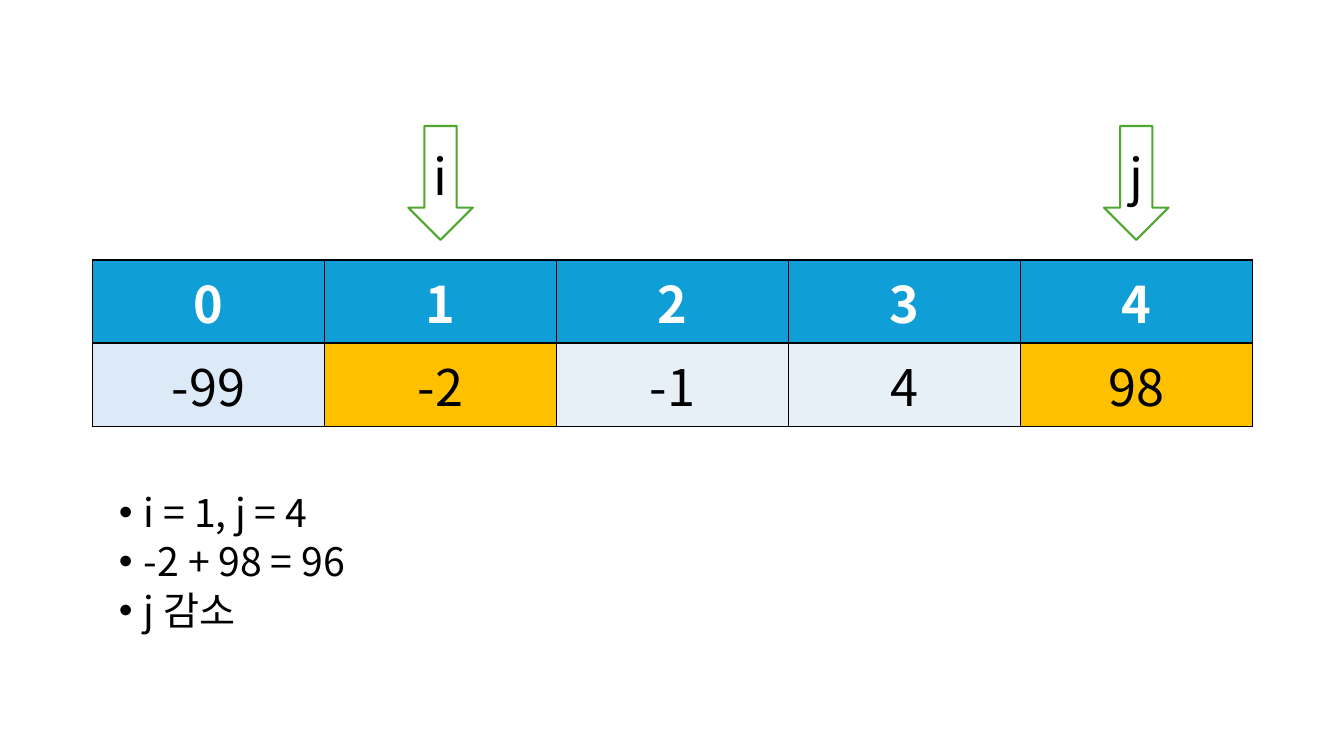
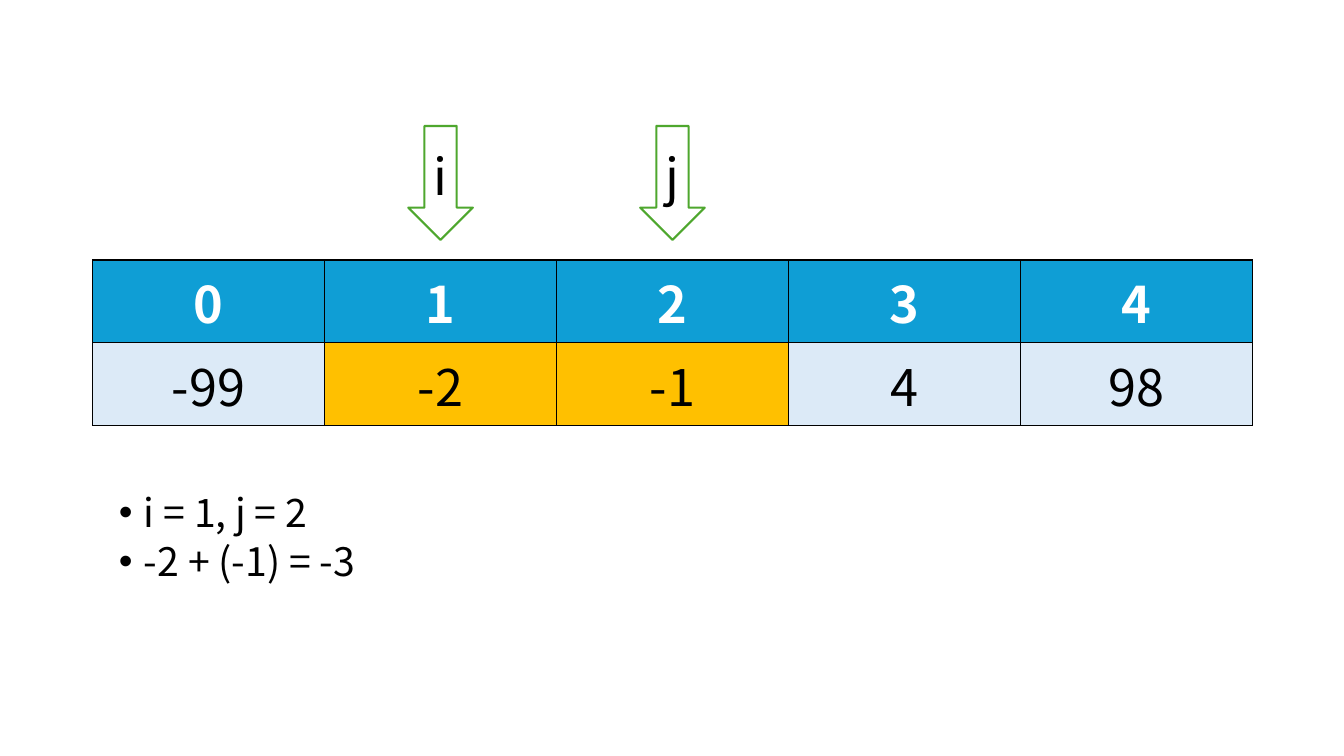
"""Build two slides that trace a two-pointer search over a sorted array."""
from lxml import etree
from pptx import Presentation, util as u
from pptx.dml.color import RGBColor
from pptx.enum import shapes, text
from pptx.oxml import ns

FACE = "Noto Sans CJK KR"
WHITE, BLACK = "FFFFFF", "000000"
BLUE, GREEN, GOLD = "0F9ED5", "4EA72E", "FFC000"
PALE, MIST = "DCEAF7", "E7F0F7"
LEFT, TOP, COL, ROW = 0.92, 2.58, 2.3, 0.82
VALUES = ["-99", "-2", "-1", "4", "98"]
HEAD = {"size": u.Pt(36), "bold": True}
BODY = {"size": u.Pt(36), "bold": False}
NOTE = {"size": u.Pt(28), "bold": False}
STEPS = [
    {"i": 1, "j": 4, "fills": [PALE, GOLD, MIST, MIST, GOLD],
     "notes": ["i = 1, j = 4", "-2 + 98 = 96", "j 감소"]},
    {"i": 1, "j": 2, "fills": [PALE, GOLD, GOLD, PALE, PALE],
     "notes": ["i = 1, j = 2", "-2 + (-1) = -3"]},
]


def paint(target, tone):
    """Give a fill or a line fill one solid colour."""
    target.solid()
    target.fore_color.rgb = RGBColor.from_string(tone)


def add(parent, tag, **attrs):
    """Append a DrawingML element to its parent."""
    return etree.SubElement(parent, ns.qn(tag), attrs)


def write(para, words, form, tone=BLACK):
    """Add a formatted run to a paragraph."""
    run = para.add_run()
    run.text = words
    for key, value in {"name": FACE, **form}.items():
        setattr(run.font, key, value)
    run.font.color.rgb = RGBColor.from_string(tone)
    add(run.font._element, "a:ea", typeface=FACE)


def center(frame, words, form, tone=BLACK):
    """Write one centred line into a text frame."""
    para = frame.paragraphs[0]
    para.alignment = text.PP_ALIGN.CENTER
    write(para, words, form, tone)


def border(cell):
    """Draw a thin black line on each side of a cell."""
    props = cell._tc.get_or_add_tcPr()
    for side in ("L", "R", "T", "B"):
        line = add(props, f"a:ln{side}", w=str(u.Pt(1)))
        add(add(line, "a:solidFill"), "a:srgbClr", val=BLACK)


def fill(cell, words, form, tone, back):
    """Style one table cell and write its value."""
    border(cell)
    paint(cell.fill, back)
    cell.vertical_anchor = text.MSO_ANCHOR.MIDDLE
    center(cell.text_frame, words, form, tone)


def array(slide, fills):
    """Add the table of indexes and values."""
    count = len(VALUES)
    grid = slide.shapes.add_table(
        2, count, u.Inches(LEFT), u.Inches(TOP),
        u.Inches(COL * count), u.Inches(ROW * 2)).table
    for row in grid.rows:
        row.height = u.Inches(ROW)
    for col, (value, back) in enumerate(zip(VALUES, fills)):
        grid.columns[col].width = u.Inches(COL)
        fill(grid.cell(0, col), str(col), HEAD, WHITE, BLUE)
        fill(grid.cell(1, col), value, BODY, BLACK, back)


def arrow(slide, name, col):
    """Add a named arrow above the middle of a column."""
    width = 0.64
    left = LEFT + (col + 0.5) * COL - width / 2
    shape = slide.shapes.add_shape(
        shapes.MSO_SHAPE.DOWN_ARROW, u.Inches(left), u.Inches(1.25),
        u.Inches(width), u.Inches(1.13))
    shape.shadow.inherit = False
    paint(shape.fill, WHITE)
    paint(shape.line.fill, GREEN)
    shape.line.width = u.Pt(1.5)
    frame = shape.text_frame
    frame.margin_left = frame.margin_right = 0
    frame.vertical_anchor = text.MSO_ANCHOR.MIDDLE
    center(frame, name, BODY)


def bullets(slide, notes):
    """Add the bulleted notes below the table."""
    frame = slide.shapes.add_textbox(
        u.Inches(1.08), u.Inches(4.89), u.Inches(11.5),
        u.Inches(2.03)).text_frame
    frame.word_wrap = True
    for num, note in enumerate(notes):
        para = frame.add_paragraph() if num else frame.paragraphs[0]
        props = para._p.get_or_add_pPr()
        props.set("marL", str(u.Inches(0.25)))
        props.set("indent", str(u.Inches(-0.25)))
        add(props, "a:buFont", typeface="Arial")
        add(props, "a:buChar", char="•")
        para.line_spacing = 0.8
        para.space_before = u.Pt(8 if num else 0)
        write(para, note, NOTE)


def main():
    """Build and save the slides."""
    deck = Presentation()
    deck.slide_width, deck.slide_height = u.Inches(13.33), u.Inches(7.5)
    for step in STEPS:
        slide = deck.slides.add_slide(deck.slide_layouts[6])
        array(slide, step["fills"])
        for name in ("i", "j"):
            arrow(slide, name, step[name])
        bullets(slide, step["notes"])
    deck.save("out.pptx")


if __name__ == "__main__":
    main()
